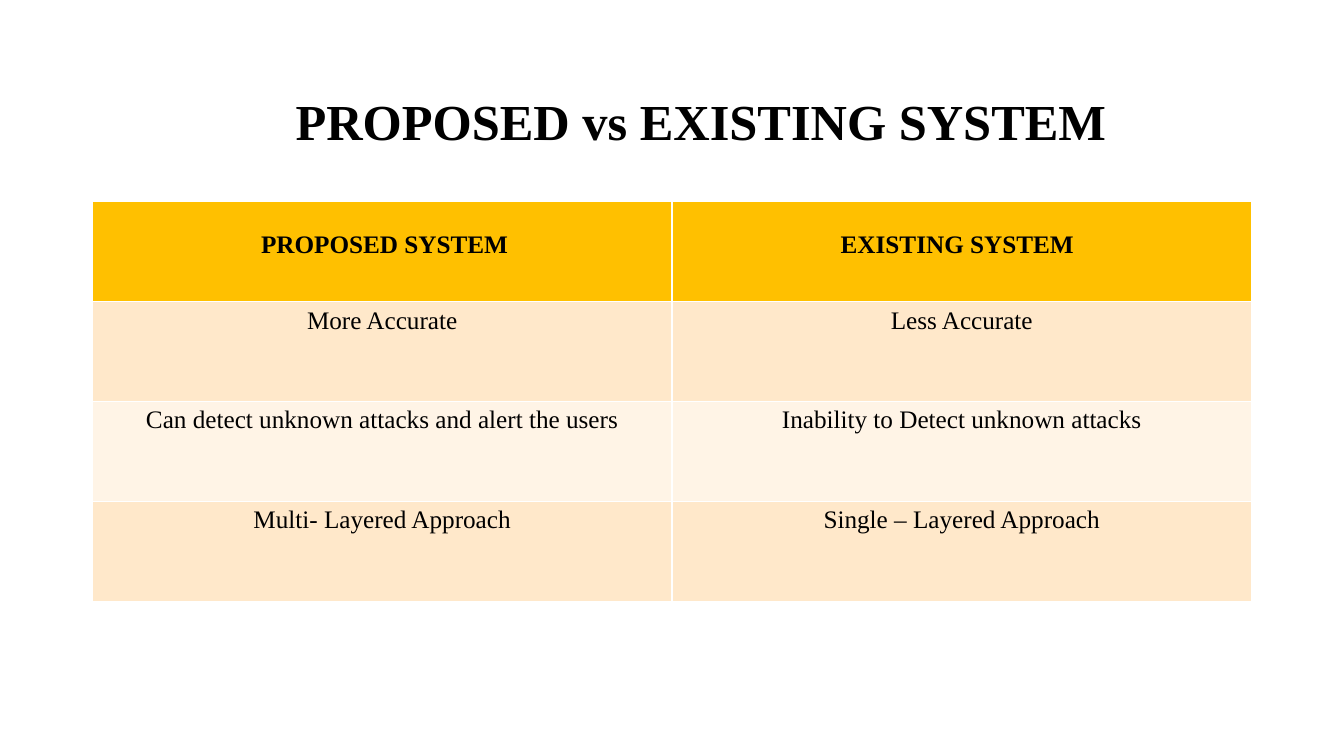
"""Build the slide that compares the proposed system with the existing one."""
from typing import NamedTuple

from pptx import Presentation
from pptx.dml.color import RGBColor
from pptx.enum.text import PP_ALIGN as Align
from pptx.util import Inches, Pt

BLACK = RGBColor(0x00, 0x00, 0x00)
GOLD = RGBColor(0xFF, 0xC0, 0x00)
PEACH = RGBColor(0xFF, 0xE8, 0xCA)
CREAM = RGBColor(0xFF, 0xF4, 0xE6)
FONT = "Times New Roman"

WIDTH, HEIGHT = Inches(13.33), Inches(7.5)
GRID_COLS, GRID_ROWS = 160, 90


class Label(NamedTuple):
    text: str
    col: float
    row: float
    cols: float
    rows: float
    size: int = 18


class TableRow(NamedTuple):
    fill: RGBColor
    texts: tuple[str, str]


LABELS = (
    Label("PROPOSED SYSTEM", 29.9, 26.6, 32.2, 4.8),
    Label("EXISTING SYSTEM", 98.9, 26.6, 30.5, 4.8),
    Label("PROPOSED vs EXISTING SYSTEM", 34, 10.1, 126, 8.5, 36),
)
TABLE_ROWS = (
    TableRow(GOLD, ("", "")),
    TableRow(PEACH, ("More Accurate", "Less Accurate")),
    TableRow(CREAM, ("Can detect unknown attacks and alert the users",
                     "Inability to Detect unknown attacks")),
    TableRow(PEACH, ("Multi- Layered Approach", "Single – Layered Approach")),
)
TABLE_COL, TABLE_ROW = 11, 24
CELL_COLS, CELL_ROWS = 69, 11.9


def across(cols: float) -> int:
    return round(WIDTH * cols / GRID_COLS)


def down(rows: float) -> int:
    return round(HEIGHT * rows / GRID_ROWS)


def write(tf, text: str, *, size: int = 18, bold: bool = False,
          align: Align = Align.LEFT) -> None:
    p = tf.paragraphs[0]
    p.alignment = align
    r = p.add_run()
    r.text = text
    r.font.name = FONT
    r.font.size = Pt(size)
    r.font.bold = bold
    r.font.color.rgb = BLACK


def draw_table(s, rows: tuple[TableRow, ...]) -> None:
    n_cols = len(rows[0].texts)
    table = s.shapes.add_table(
        len(rows), n_cols, across(TABLE_COL), down(TABLE_ROW),
        across(CELL_COLS * n_cols), down(CELL_ROWS * len(rows))).table
    for column in table.columns:
        column.width = across(CELL_COLS)
    for i, row in enumerate(rows):
        table.rows[i].height = down(CELL_ROWS)
        for j, text in enumerate(row.texts):
            cell = table.cell(i, j)
            cell.fill.solid()
            cell.fill.fore_color.rgb = row.fill
            if text:
                write(cell.text_frame, text, align=Align.CENTER)


def draw_label(s, label: Label) -> None:
    sp = s.shapes.add_textbox(across(label.col), down(label.row),
                              across(label.cols), down(label.rows))
    tf = sp.text_frame
    tf.word_wrap = True
    write(tf, label.text, size=label.size, bold=True)


def main() -> None:
    prs = Presentation()
    prs.slide_width, prs.slide_height = WIDTH, HEIGHT
    s = prs.slides.add_slide(prs.slide_layouts[6])
    draw_table(s, TABLE_ROWS)
    for label in LABELS:
        draw_label(s, label)
    prs.save("out.pptx")


if __name__ == "__main__":
    main()
